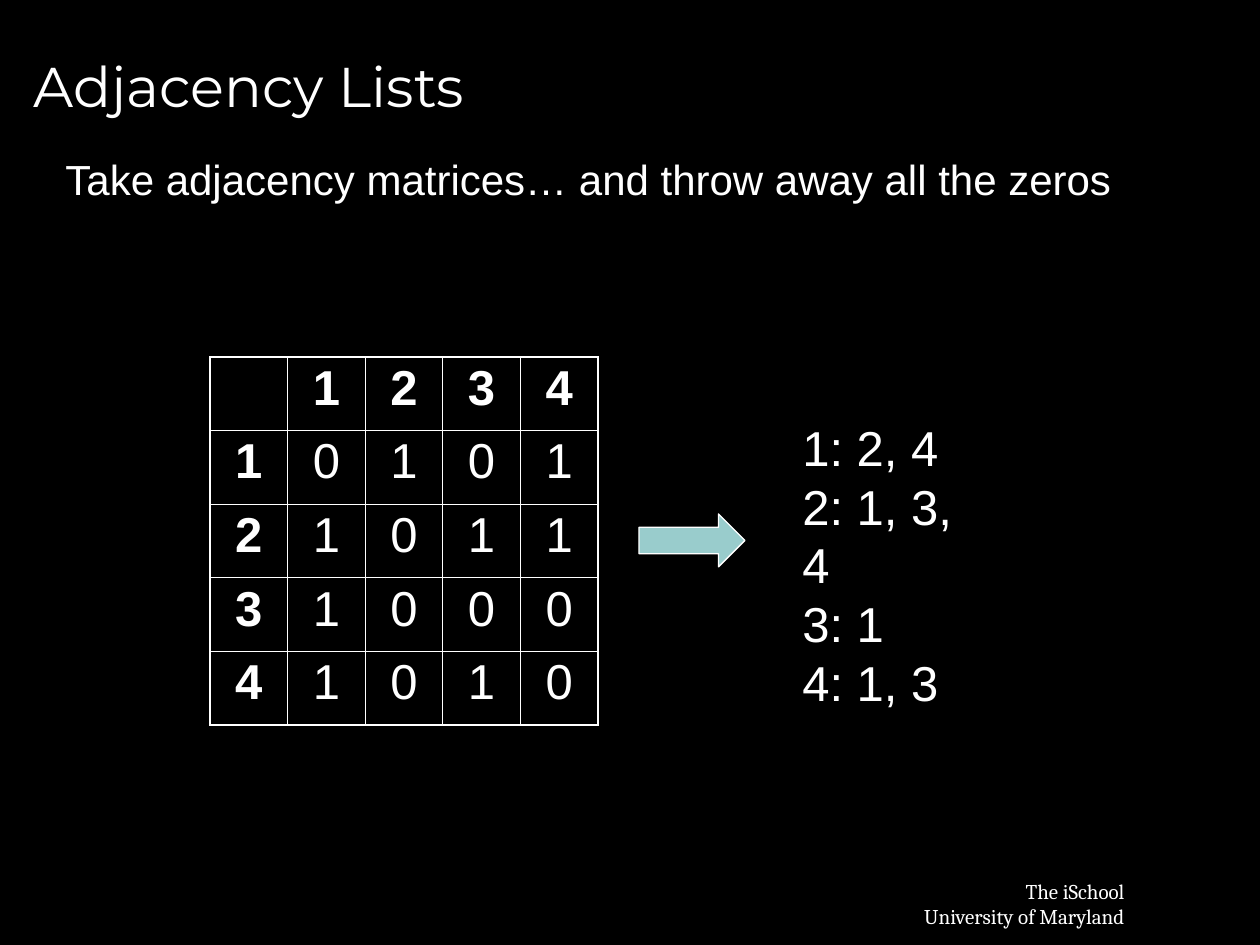
from dataclasses import dataclass
from typing import Optional

from lxml.etree import SubElement
from pptx import Presentation
from pptx.dml.color import RGBColor
from pptx.enum.shapes import MSO_SHAPE
from pptx.enum.text import MSO_ANCHOR, PP_ALIGN
from pptx.oxml.ns import qn
from pptx.util import Emu, Pt

PX = 914400 // 126


@dataclass(frozen=True)
class Theme:
    background: str = "000000"
    ink: str = "FFFFFF"
    arrow: str = "99CCCC"
    title_font: str = "Montserrat"
    body_font: str = "Arial"
    footer_font: str = "Cambria"
    title_size: int = 32
    body_size: int = 24
    data_size: int = 28
    footer_size: int = 12
    outer_border: float = 1.08
    inner_border: float = 0.45
    arrow_line: float = 0.75


@dataclass(frozen=True)
class Box:
    left: int
    top: int
    width: int
    height: int

    def emu(self) -> tuple:
        return tuple(Emu(v * PX) for v in (self.left, self.top, self.width, self.height))


@dataclass(frozen=True)
class TextBlock:
    box: Box
    lines: tuple
    font: str
    size: int
    align: PP_ALIGN = PP_ALIGN.LEFT
    anchor: MSO_ANCHOR = MSO_ANCHOR.TOP
    wrap: bool = True
    line_spacing: Optional[float] = None


THEME = Theme()
VERTICES = (1, 2, 3, 4)
MATRIX = ((0, 1, 0, 1), (1, 0, 1, 1), (1, 0, 0, 0), (1, 0, 1, 0))
MATRIX_BOX = Box(210, 357, 388, 368)
ARROW_BOX = Box(639, 514, 106, 53)


def adjacency_lines() -> tuple:
    """One line per vertex, naming the vertices its matrix row marks with 1."""
    return tuple(
        f"{vertex}: " + ", ".join(str(v) for v, linked in zip(VERTICES, row) if linked)
        for vertex, row in zip(VERTICES, MATRIX)
    )


TEXT_BLOCKS = (
    TextBlock(Box(893, 872, 244, 63), ("The iSchool", "University of Maryland"),
              THEME.footer_font, THEME.footer_size, align=PP_ALIGN.RIGHT, wrap=False),
    TextBlock(Box(21, 15, 1197, 141), ("Adjacency Lists",),
              THEME.title_font, THEME.title_size, anchor=MSO_ANCHOR.MIDDLE),
    TextBlock(Box(53, 147, 1166, 703),
              ("Take adjacency matrices… and throw away all the zeros",),
              THEME.body_font, THEME.body_size),
    TextBlock(Box(790, 411, 215, 248), adjacency_lines(),
              THEME.body_font, THEME.data_size, wrap=False),
)


def style(paragraph, font: str, size: int, bold: bool = False) -> None:
    paragraph.font.name = font
    paragraph.font.size = Pt(size)
    paragraph.font.bold = bold
    paragraph.font.color.rgb = RGBColor.from_string(THEME.ink)


def draw_text(slide, block: TextBlock) -> None:
    frame = slide.shapes.add_textbox(*block.box.emu()).text_frame
    frame.word_wrap = block.wrap
    frame.vertical_anchor = block.anchor
    frame.text = "\n".join(block.lines)
    for paragraph in frame.paragraphs:
        paragraph.alignment = block.align
        if block.line_spacing:
            paragraph.line_spacing = block.line_spacing
        style(paragraph, block.font, block.size)


def draw_borders(cell, row: int, column: int, last: int) -> None:
    """Heavier lines on the outside of the grid, thin ones inside."""
    outer_sides = {"L": column == 0, "R": column == last, "T": row == 0, "B": row == last}
    properties = cell._tc.get_or_add_tcPr()
    for side, outer in outer_sides.items():
        width = THEME.outer_border if outer else THEME.inner_border
        line = SubElement(properties, qn(f"a:ln{side}"), w=str(int(Pt(width))))
        fill = SubElement(line, qn("a:solidFill"))
        SubElement(fill, qn("a:srgbClr"), val=THEME.ink)


def draw_matrix(slide) -> None:
    rows = [("", *VERTICES)] + [(v, *row) for v, row in zip(VERTICES, MATRIX)]
    count = len(rows)
    left, top, width, height = MATRIX_BOX.emu()
    table = slide.shapes.add_table(count, count, left, top, width, height).table
    for column in table.columns:
        column.width = Emu(width // count)
    for table_row in table.rows:
        table_row.height = Emu(height // count)
    for r, values in enumerate(rows):
        for c, value in enumerate(values):
            cell = table.cell(r, c)
            draw_borders(cell, r, c, count - 1)
            cell.fill.background()
            cell.vertical_anchor = MSO_ANCHOR.MIDDLE
            cell.text = str(value)
            paragraph = cell.text_frame.paragraphs[0]
            paragraph.alignment = PP_ALIGN.CENTER
            paragraph.line_spacing = 0.71
            style(paragraph, THEME.body_font, THEME.data_size, bold=r == 0 or c == 0)


def draw_arrow(slide) -> None:
    arrow = slide.shapes.add_shape(MSO_SHAPE.RIGHT_ARROW, *ARROW_BOX.emu())
    arrow.shadow.inherit = False
    arrow.fill.solid()
    arrow.fill.fore_color.rgb = RGBColor.from_string(THEME.arrow)
    arrow.line.color.rgb = RGBColor.from_string(THEME.ink)
    arrow.line.width = Pt(THEME.arrow_line)


def main() -> None:
    presentation = Presentation()
    presentation.slide_width = Emu(1260 * PX)
    presentation.slide_height = Emu(945 * PX)
    slide = presentation.slides.add_slide(presentation.slide_layouts[6])
    slide.background.fill.solid()
    slide.background.fill.fore_color.rgb = RGBColor.from_string(THEME.background)
    for block in TEXT_BLOCKS:
        draw_text(slide, block)
    draw_matrix(slide)
    draw_arrow(slide)
    presentation.save("out.pptx")


if __name__ == "__main__":
    main()
